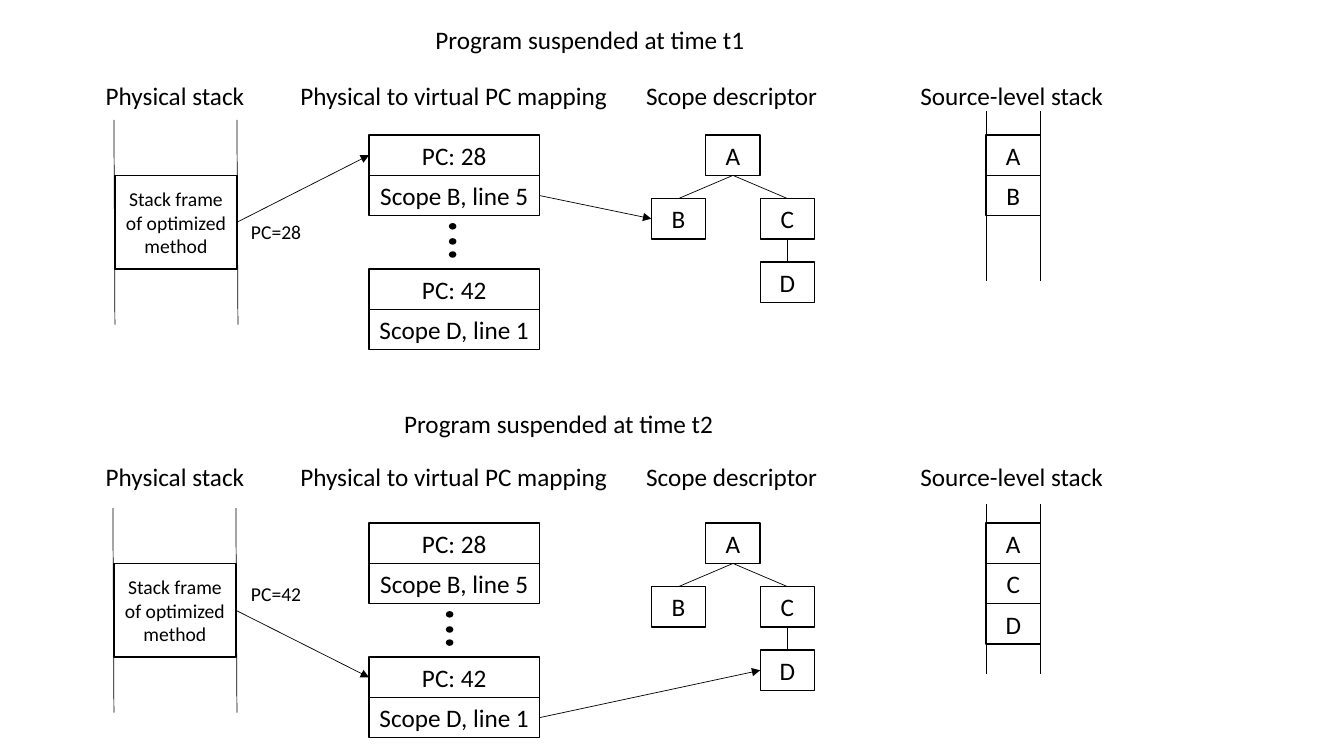
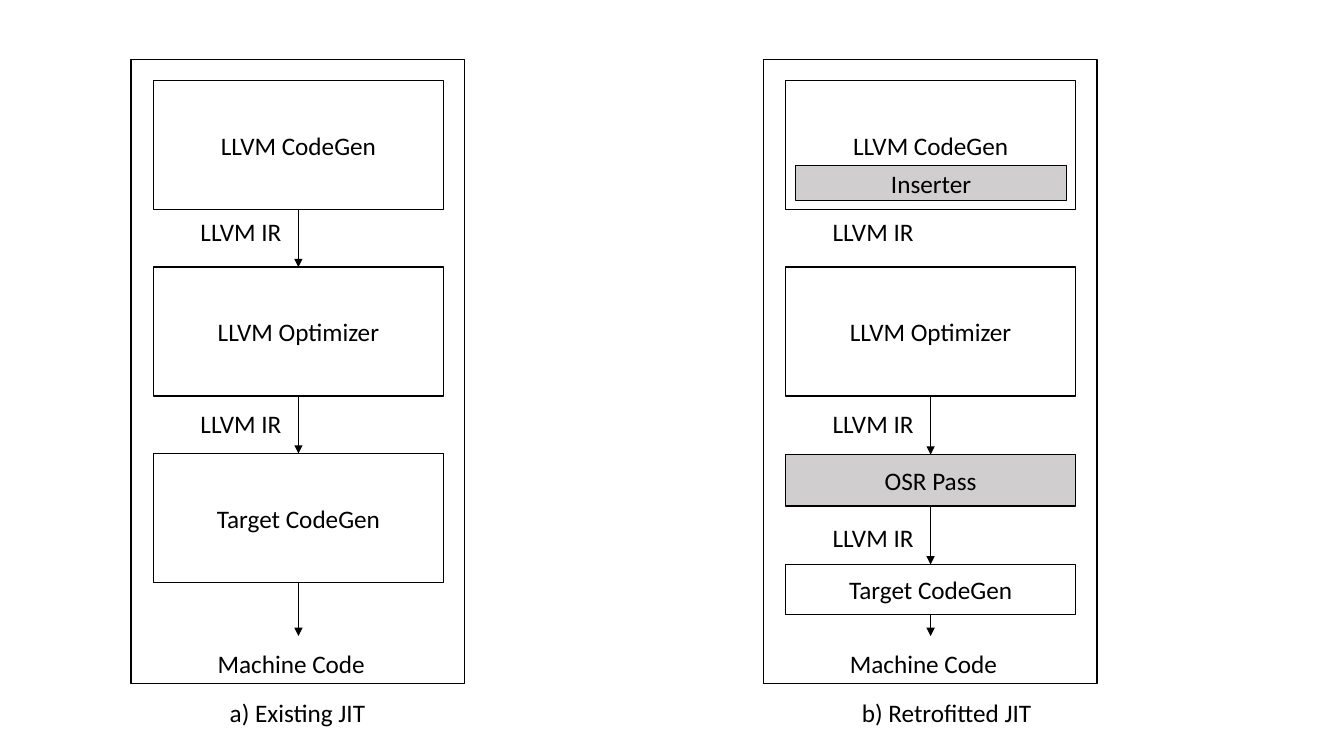
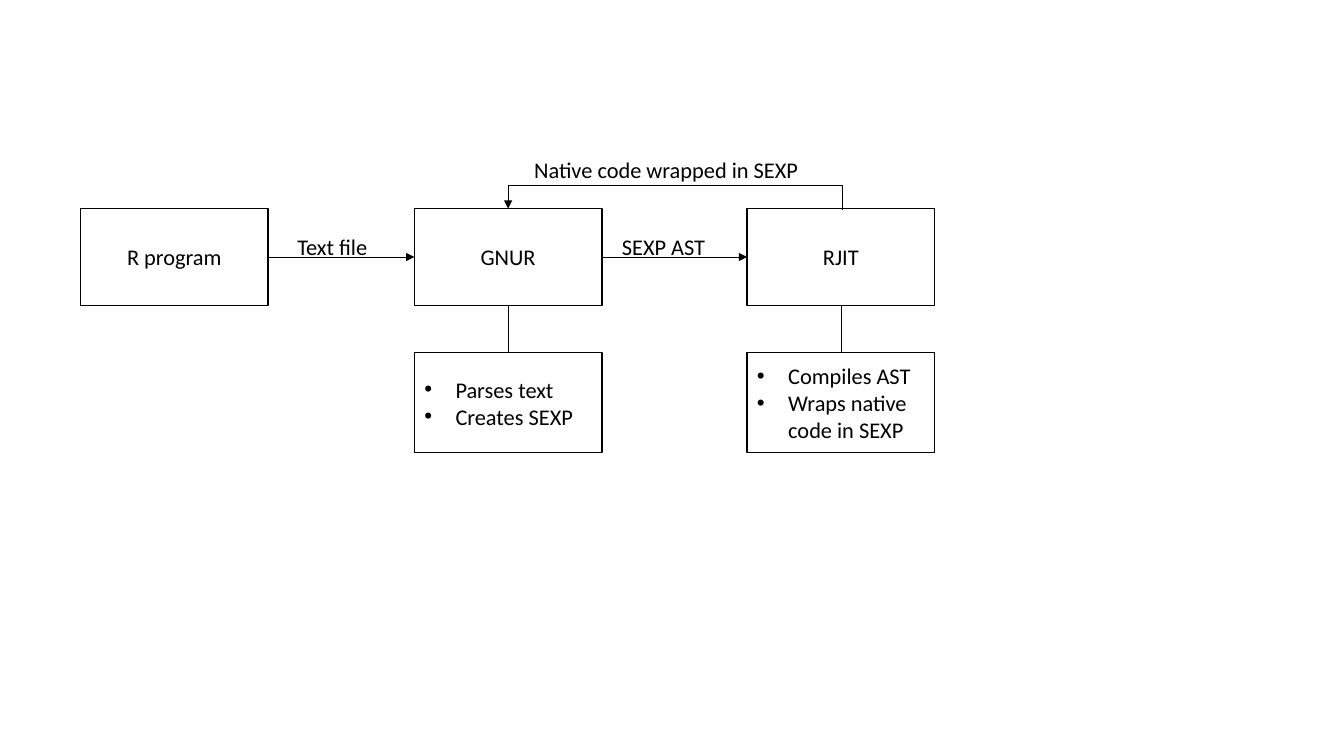
from dataclasses import dataclass

from lxml.etree import SubElement
from pptx import Presentation
from pptx.dml.color import RGBColor
from pptx.enum.shapes import MSO_CONNECTOR, MSO_SHAPE
from pptx.enum.text import MSO_ANCHOR, MSO_AUTO_SIZE, PP_ALIGN
from pptx.oxml.ns import qn
from pptx.util import Pt

PX = 9144  # 100 px to the inch
TOP, LEFT, BOTTOM, RIGHT = range(4)  # connection sites of a rectangle


@dataclass(frozen=True)
class Theme:
    font: str = "Calibri"
    ink: RGBColor = RGBColor(0, 0, 0)
    paper: RGBColor = RGBColor(255, 255, 255)
    added: RGBColor = RGBColor(0xD0, 0xCE, 0xCE)
    large: int = 18
    medium: int = 16
    small: int = 14
    border: float = 1
    thin: float = 0.5


theme = Theme()


def add_block(page, text, left, top, width, height, size=theme.large, fill=None,
              preset=MSO_SHAPE.RECTANGLE):
    """Add a bordered shape with centred text, or a plain label if there is no fill."""
    place = [length * PX for length in (left, top, width, height)]
    if fill is None:
        box = page.shapes.add_textbox(*place)
        box.text_frame.word_wrap = False
        box.text_frame.auto_size = MSO_AUTO_SIZE.SHAPE_TO_FIT_TEXT
    else:
        box = page.shapes.add_shape(preset, *place)
        box.shadow.inherit = False
        box.fill.solid()
        box.fill.fore_color.rgb = fill
        box.line.color.rgb = theme.ink
        box.line.width = Pt(theme.border)
        box.text_frame.word_wrap = True
        box.text_frame.vertical_anchor = MSO_ANCHOR.MIDDLE
    for index, line in enumerate(text.splitlines()):
        frame = box.text_frame
        para = frame.add_paragraph() if index else frame.paragraphs[0]
        para.alignment = PP_ALIGN.LEFT if fill is None else PP_ALIGN.CENTER
        span = para.add_run()
        span.text = line
        span.font.name = theme.font
        span.font.size = Pt(size)
        span.font.color.rgb = theme.ink
    return box


def add_line(page, start, end, arrow=False, kind=MSO_CONNECTOR.STRAIGHT):
    """Draw a line; each end is a point (x, y) or a join (box, site)."""
    points = [end_point if isinstance(end_point[0], int) else (0, 0)
              for end_point in (start, end)]
    line = page.shapes.add_connector(
        kind, *[length * PX for point in points for length in point])
    if not isinstance(start[0], int):
        line.begin_connect(*start)
    if not isinstance(end[0], int):
        line.end_connect(*end)
    line.line.color.rgb = theme.ink
    line.line.width = Pt(theme.thin)
    if arrow:
        SubElement(line.line._get_or_add_ln(), qn("a:tailEnd"), type="triangle")
    SubElement(line._element.spPr, qn("a:effectLst"))
    return line


deck = Presentation()
deck.slide_width, deck.slide_height = 1333 * PX, 750 * PX
blank = deck.slide_layouts[6]

# Slide 1: the stack at two moments
page = deck.slides.add_slide(blank)
headings = [("Physical stack", 95, 159), ("Physical to virtual PC mapping", 288, 328),
            ("Scope descriptor", 631, 192), ("Source-level stack", 903, 203)]
mapping_rows = [("PC: 28", 134), ("Scope B, line 5", 174),
                ("PC: 42", 267), ("Scope D, line 1", 307)]
scope_nodes = [("A", 700, 134), ("B", 646, 197), ("C", 754, 197), ("D", 754, 260)]
moments = [
    dict(title="Program suspended at time t1", title_left=422, title_top=19,
         heading_top=75, shift=0, stack_left=114, dots_left=446, wall_top=110,
         counter="PC=28", counter_top=213, scope="B", source="AB"),
    dict(title="Program suspended at time t2", title_left=391, title_top=400,
         heading_top=453, shift=385, stack_left=113, dots_left=443, wall_top=500,
         counter="PC=42", counter_top=572, scope="D", source="ACD"),
]
for moment in moments:
    shift, stack_left = moment["shift"], moment["stack_left"]
    add_block(page, moment["title"], moment["title_left"], moment["title_top"], 334, 40)
    for heading, left, width in headings:
        add_block(page, heading, left, moment["heading_top"], width, 40)

    stack_frame = add_block(page, "Stack frame of optimized method", stack_left,
                            174 + shift, 121, 93, theme.small, theme.paper)
    for wall in (stack_left, stack_left + 122):
        add_line(page, (wall - 1, 119 + shift), (wall, 322 + shift))

    rows = {text: add_block(page, text, 366, top + shift, 169, 40, fill=theme.paper)
            for text, top in mapping_rows}
    for top in (222, 237, 250):
        add_block(page, "", moment["dots_left"], top + shift, 6, 5,
                  fill=theme.ink, preset=MSO_SHAPE.OVAL)

    nodes = {name: add_block(page, name, left, top + shift, 54, 40, fill=theme.paper)
             for name, left, top in scope_nodes}
    for parent, child in ("AB", "AC", "CD"):
        add_line(page, (nodes[parent], BOTTOM), (nodes[child], TOP))

    for index, name in enumerate(moment["source"]):
        add_block(page, name, 978, 134 + shift + 40 * index, 54, 40, fill=theme.paper)
    for wall in (978, 1032):
        add_line(page, (wall, moment["wall_top"]), (wall, moment["wall_top"] + 169))

    counter_row = rows[moment["counter"].replace("=", ": ")]
    scope_row = next(box for text, box in rows.items()
                     if text.startswith("Scope " + moment["scope"]))
    add_line(page, (stack_frame, RIGHT), (counter_row, LEFT), arrow=True)
    add_line(page, (scope_row, RIGHT), (nodes[moment["scope"]], LEFT), arrow=True)
    add_block(page, moment["counter"], 239, moment["counter_top"], 71, 34, theme.small)

# Slide 2: the two compilers; a stage is text, top, height, fill, arrow from above
page = deck.slides.add_slide(blank)
codegen = ("LLVM CodeGen", 80, 128, theme.paper, False)
compilers = [
    ("a) Existing JIT", 156, 130, (210, 400),
     [codegen, ("LLVM Optimizer", 265, 128, theme.paper, True),
      ("Target CodeGen", 450, 128, theme.paper, True)]),
    ("b) Retrofitted JIT", 190, 757, (210, 400, 513),
     [codegen, ("LLVM Optimizer", 265, 128, theme.paper, False),
      ("OSR Pass", 451, 51, theme.added, True),
      ("Target CodeGen", 560, 50, theme.paper, True)]),
]
for caption, caption_width, left, label_tops, stages in compilers:
    add_block(page, "", left, 59, 331, 619, fill=theme.paper)
    above = None
    for text, top, height, fill, has_arrow in stages:
        stage = add_block(page, text, left + 22, top, 288, height, fill=fill)
        if has_arrow:
            add_line(page, (above, BOTTOM), (stage, TOP), arrow=True)
        above = stage
    add_line(page, (above, BOTTOM), (left + 166, 631), arrow=True)
    for top in label_tops:
        add_block(page, "LLVM IR", left + 59, top, 107, 40)
    add_block(page, "Machine Code", left + 76, 638, 168, 40)
    add_block(page, caption, left + 88, 687, caption_width, 40)
add_block(page, "Inserter", 789, 164, 269, 35, fill=theme.added)

# Slide 3: from program text to native code
page = deck.slides.add_slide(blank)
program, interpreter, compiler = [
    add_block(page, text, left, 207, 186, 96, theme.medium, theme.paper)
    for text, left in (("R program", 80), ("GNUR", 411), ("RJIT", 741))]
add_line(page, (program, RIGHT), (interpreter, LEFT), arrow=True)
add_line(page, (interpreter, RIGHT), (compiler, LEFT), arrow=True)
for text, left, top, width in (("Text file", 285, 226, 91), ("SEXP AST", 607, 226, 104),
                               ("Native code wrapped in SEXP", 520, 150, 286)):
    add_block(page, text, left, top, width, 37, theme.medium)

for owner, left, duties in ((interpreter, 411, "Parses text\nCreates SEXP"),
                            (compiler, 741, "Compiles AST\nWraps native code in SEXP")):
    box = add_block(page, duties, left, 350, 186, 99, theme.medium, theme.paper)
    for para in box.text_frame.paragraphs:
        para.alignment = PP_ALIGN.LEFT
        properties = para._p.get_or_add_pPr()
        properties.set("marL", str(31 * PX))
        properties.set("indent", str(-31 * PX))
        SubElement(properties, qn("a:buFont"), typeface="Arial")
        SubElement(properties, qn("a:buChar"), char="•")
    add_line(page, (owner, BOTTOM), (box, TOP))

# The return path is a quarter-turned elbow, 1 px wide, that rises 24 px
return_path = add_line(page, (669, 373), (670, 42), arrow=True, kind=MSO_CONNECTOR.ELBOW)
properties = return_path._element.spPr
properties.find(qn("a:xfrm")).set("rot", str(270 * 60000))
adjustments = properties.find(qn("a:prstGeom")).find(qn("a:avLst"))
SubElement(adjustments, qn("a:gd"), name="adj1", fmla="val 2400000")

deck.save("out.pptx")
